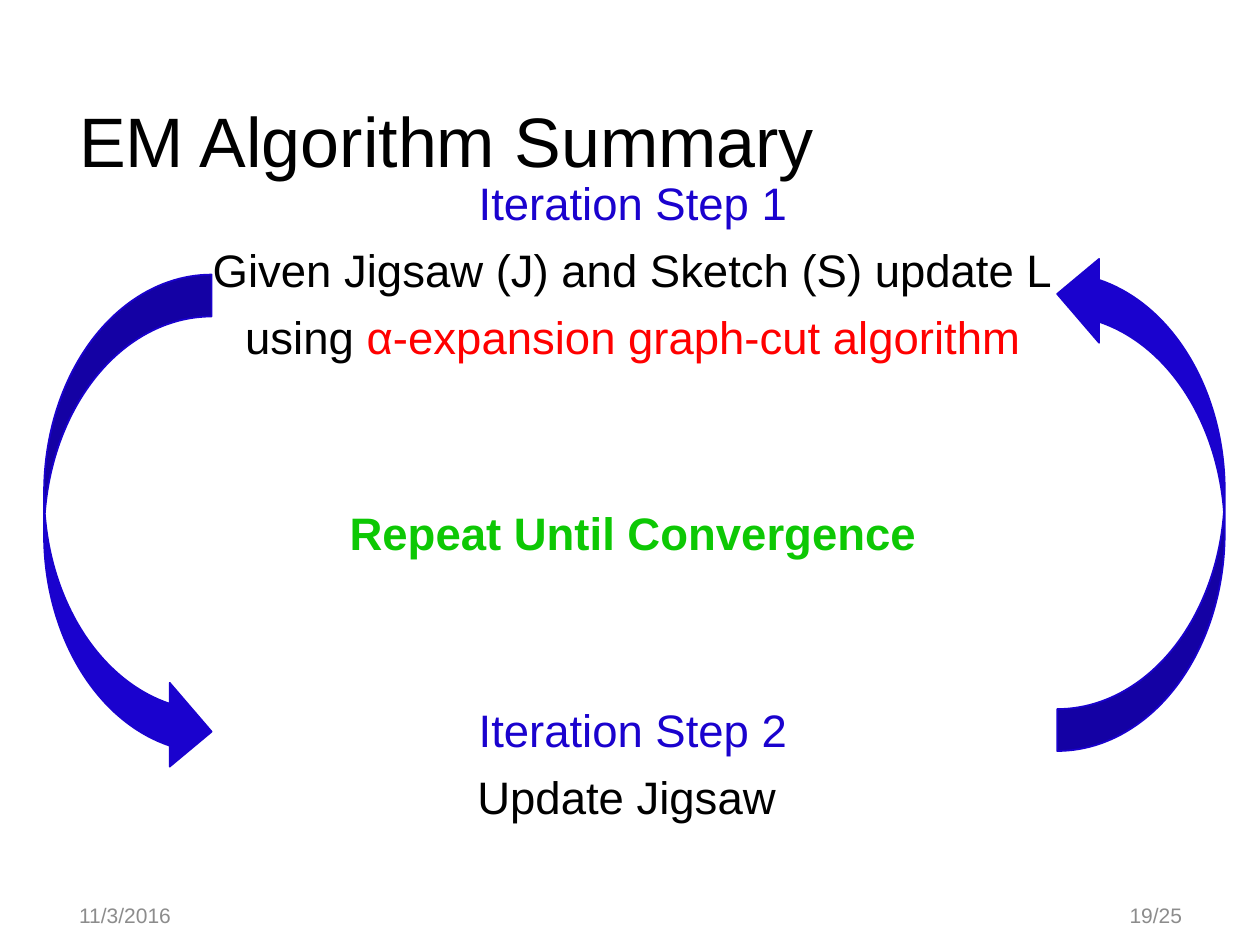
from dataclasses import dataclass

from pptx import Presentation
from pptx.dml.color import RGBColor
from pptx.enum.shapes import MSO_SHAPE
from pptx.enum.text import MSO_ANCHOR, MSO_AUTO_SIZE, PP_ALIGN
from pptx.util import Pt

LEFT, CENTER, RIGHT = PP_ALIGN.LEFT, PP_ALIGN.CENTER, PP_ALIGN.RIGHT
TOP, MIDDLE, BOTTOM = MSO_ANCHOR.TOP, MSO_ANCHOR.MIDDLE, MSO_ANCHOR.BOTTOM
CURVED_ARROW = MSO_SHAPE.CURVED_RIGHT_ARROW
NO_AUTOFIT = MSO_AUTO_SIZE.NONE

FONT = "Arial"
COLORS = {"black": "000000", "gray": "8C8C8C", "blue": "1A02CE",
          "red": "FF0000", "green": "0DC804"}
MARGIN, CONTENT_WIDTH = 38.16, 647.28
LINE_GAP = 7.1
SECTION_GAP = 81.0


@dataclass
class Run:
    text: str
    color: str = "black"
    bold: bool = False


@dataclass
class Line:
    runs: list[Run]
    gap: float = LINE_GAP


@dataclass
class Footer:
    text: str
    left: float
    align: PP_ALIGN


@dataclass
class CycleArrow:
    left: float
    top: float
    rotation: float


STEPS = [
    Line([Run("Iteration Step 1", "blue")]),
    Line([Run("Given Jigsaw (J) and Sketch (S) update L")]),
    Line([Run("using "), Run("α-expansion graph-cut algorithm", "red")]),
    Line([Run("Repeat Until Convergence", "green", True)], SECTION_GAP),
    Line([Run("Iteration Step 2", "blue")], SECTION_GAP),
    Line([Run("Update Jigsaw ")]),
]
FOOTERS = [Footer("11/3/2016", MARGIN, LEFT), Footer("19/25", 520.56, RIGHT)]
ARROWS = [CycleArrow(25.2, 156.96, 0), CycleArrow(604.08, 144, 180)]


def rgb(name: str) -> RGBColor:
    return RGBColor.from_string(COLORS[name])


def place(shape, left: float, top: float, width: float, height: float) -> None:
    shape.left, shape.top = Pt(left), Pt(top)
    shape.width, shape.height = Pt(width), Pt(height)


def write(frame, lines: list[Line], size: float, align: PP_ALIGN,
          anchor: MSO_ANCHOR) -> None:
    frame.word_wrap = True
    frame.auto_size = NO_AUTOFIT
    frame.vertical_anchor = anchor
    for index, line in enumerate(lines):
        paragraph = frame.add_paragraph() if index else frame.paragraphs[0]
        paragraph.alignment = align
        paragraph.space_before = Pt(line.gap)
        for part in line.runs:
            run = paragraph.add_run()
            run.text = part.text
            run.font.name = FONT
            run.font.size = Pt(size)
            run.font.bold = part.bold
            run.font.color.rgb = rgb(part.color)


def add_footer(slide, footer: Footer) -> None:
    box = slide.shapes.add_textbox(Pt(footer.left), Pt(508.32), Pt(162), Pt(28.8))
    write(box.text_frame, [Line([Run(footer.text, "gray")], 0)], 12,
          footer.align, MIDDLE)


def add_arrow(slide, arrow: CycleArrow) -> None:
    shape = slide.shapes.add_shape(CURVED_ARROW, Pt(arrow.left), Pt(arrow.top),
                                   Pt(95.76), Pt(285.12))
    shape.rotation = arrow.rotation
    shape.shadow.inherit = False
    shape.fill.solid()
    shape.fill.fore_color.rgb = rgb("blue")
    shape.line.color.rgb = rgb("blue")
    shape.line.width = Pt(1)


presentation = Presentation()
presentation.slide_width, presentation.slide_height = Pt(720), Pt(540)
summary = presentation.slides.add_slide(presentation.slide_layouts[5])

# Title
heading = summary.shapes.title
place(heading, MARGIN, 41.04, CONTENT_WIDTH, 69.84)
heading.text_frame.margin_bottom = Pt(7.2)
write(heading.text_frame, [Line([Run("EM Algorithm Summary")], 0)], 40, LEFT, BOTTOM)

# Date and page number
for footer in FOOTERS:
    add_footer(summary, footer)

# Iteration steps
steps = summary.shapes.add_textbox(Pt(MARGIN), Pt(100.08), Pt(CONTENT_WIDTH), Pt(380.16))
steps.text_frame.margin_top = Pt(0)
write(steps.text_frame, STEPS, 26, CENTER, TOP)

# Arrows of the cycle
for arrow in ARROWS:
    add_arrow(summary, arrow)

presentation.save("out.pptx")
